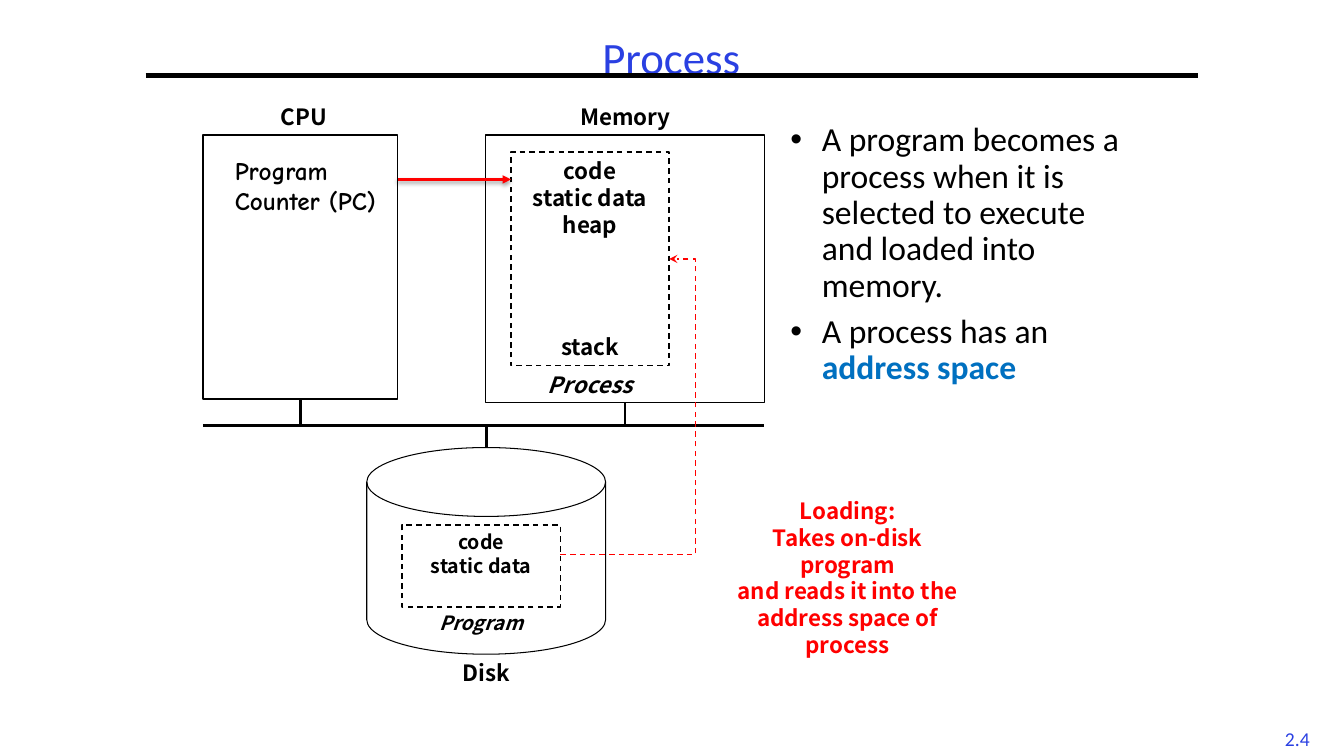
from lxml import etree
from pptx import Presentation
from pptx.dml.color import RGBColor
from pptx.enum.dml import MSO_LINE_DASH_STYLE as DASH
from pptx.enum.shapes import MSO_CONNECTOR_TYPE as CONN, MSO_SHAPE as SHAPE
from pptx.enum.text import MSO_ANCHOR as ANCHOR, MSO_AUTO_SIZE as AUTO, PP_ALIGN as ALIGN
from pptx.oxml.ns import qn
from pptx.util import Pt

BLACK, WHITE, RED, BLUE, ACCENT = "000000", "FFFFFF", "FF0000", "2A40E2", "0070C0"
SANS, LABEL, COMIC = "Calibri", "Noto Sans CJK KR", "Comic Neue"

TITLE = "Process"
PAGE = "2.4"
BULLETS = [
    [("A program becomes a process when it is selected to execute and loaded into memory.", {})],
    [("A process has an ", {}), ("address space", {"color": ACCENT, "bold": True})],
]

CPU = (145, 96.5, 139, 188.5)
MEMORY = (347, 96.5, 199, 191)
PROCESS = (365, 108.7, 113, 152.6)
DISK = (262, 319.7, 170.6, 147.6)
PROGRAM = (287.3, 375, 113, 58.5)
BUS_Y = 304
LOAD_Y, LOAD_X = 396, 496.8
COUNTER_Y = 128.2

LABELS = [
    (["code", "static data", "heap"], (365, 108.7, 113, 68), {}),
    (["stack"], (365, 234.7, 113, 26.6), {}),
    (["Process"], (365, 261.3, 113, 26.6), {"italic": True}),
    (["Memory"], (390.2, 69.8, 113, 26.6), {}),
    (["CPU"], (160.6, 69.8, 113, 26.6), {}),
    (["code", "static data"], (287.3, 375, 113, 41), {"size": 14}),
    (["Program"], (287.3, 432.9, 113, 24.5), {"size": 14, "italic": True}),
    (["Disk"], (290.9, 467.3, 113, 26.6), {}),
    (["Loading:", "Takes on-disk program", "and reads it into the address space of process"],
     (511.9, 351.4, 187.2, 124), {"color": RED}),
]


def rgb(value):
    return RGBColor.from_string(value)


def pts(*values):
    return [Pt(v) for v in values]


def add_run(p, text, size=16, font=LABEL, color=BLACK, bold=False, italic=False):
    r = p.add_run()
    r.text = text
    r.font.size, r.font.name = Pt(size), font
    r.font.bold, r.font.italic = bold, italic
    r.font.color.rgb = rgb(color)


def add_text(s, lines, box, align=ALIGN.CENTER, spacing=None, wrap=True, **fmt):
    tf = s.shapes.add_textbox(*pts(*box)).text_frame
    tf.word_wrap = wrap
    for i, line in enumerate(lines):
        p = tf.paragraphs[0] if i == 0 else tf.add_paragraph()
        p.alignment = align
        if spacing:
            p.line_spacing = Pt(spacing)
        add_run(p, line, **fmt)


def add_box(s, box, kind=SHAPE.RECTANGLE, width=1, dash=None):
    sp = s.shapes.add_shape(kind, *pts(*box))
    sp.shadow.inherit = False
    sp.fill.solid()
    sp.fill.fore_color.rgb = rgb(WHITE)
    sp.line.color.rgb = rgb(BLACK)
    sp.line.width = Pt(width)
    sp.line.dash_style = dash
    return sp


def add_line(s, start, end, width=2, color=BLACK, kind=CONN.STRAIGHT, dash=None, head=None):
    c = s.shapes.add_connector(kind, *pts(*start, *end))
    c.line.color.rgb = rgb(color)
    c.line.width = Pt(width)
    c.line.dash_style = dash
    if head:
        etree.SubElement(c.line._get_or_add_ln(), qn("a:tailEnd"), type=head)
    effects = etree.SubElement(c._element.spPr, qn("a:effectLst"))
    return c, effects


def add_bullets(s):
    body = s.placeholders[1]
    body.left, body.top, body.width, body.height = pts(557.3, 84.2, 257, 404.6)
    tf = body.text_frame
    tf.word_wrap, tf.auto_size, tf.vertical_anchor = True, AUTO.NONE, ANCHOR.TOP
    for i, runs in enumerate(BULLETS):
        p = tf.paragraphs[0] if i == 0 else tf.add_paragraph()
        p.line_spacing = 0.9
        p.space_before = Pt(7.2 if i else 0)
        pPr = p._p.get_or_add_pPr()
        pPr.set("marL", str(Pt(22.5)))
        pPr.set("indent", str(-Pt(22.5)))
        etree.SubElement(pPr, qn("a:buFont"), typeface="Arial")
        etree.SubElement(pPr, qn("a:buChar"), char="•")
        for text, fmt in runs:
            add_run(p, text, size=24, font=SANS, **fmt)


def add_title(s):
    title = s.shapes.title
    title.left, title.top, title.width, title.height = pts(33.1, 21.6, 892.8, 41.8)
    tf = title.text_frame
    tf.word_wrap, tf.auto_size, tf.vertical_anchor = True, AUTO.NONE, ANCHOR.MIDDLE
    p = tf.paragraphs[0]
    p.alignment, p.line_spacing = ALIGN.CENTER, 0.9
    add_run(p, TITLE, size=32, font=SANS, color=BLUE)


def add_diagram(s):
    cpu = add_box(s, CPU)
    memory = add_box(s, MEMORY)
    process = add_box(s, PROCESS, dash=DASH.DASH)
    add_box(s, DISK, SHAPE.FLOWCHART_MAGNETIC_DISK, 0.75)
    add_box(s, PROGRAM, dash=DASH.DASH)

    add_line(s, (CPU[0], BUS_Y), (MEMORY[0] + MEMORY[2], BUS_Y))
    for unit, (x, y, w, h) in ((cpu, CPU), (memory, MEMORY)):
        stub, _ = add_line(s, (x + w / 2, y + h), (x + w / 2, BUS_Y))
        stub.begin_connect(unit, 2)
    disk_x = DISK[0] + DISK[2] / 2
    add_line(s, (disk_x, BUS_Y), (disk_x, DISK[1]))

    start_x = PROGRAM[0] + PROGRAM[2]
    end_x = PROCESS[0] + PROCESS[2]
    load, _ = add_line(s, (start_x, LOAD_Y), (end_x, PROCESS[1] + PROCESS[3] / 2), 1, RED,
                       CONN.ELBOW, DASH.DASH, "stealth")
    load.end_connect(process, 3)
    bend = round((LOAD_X - start_x) / (end_x - start_x) * 100000)
    guides = load._element.spPr.find(qn("a:prstGeom")).find(qn("a:avLst"))
    etree.SubElement(guides, qn("a:gd"), name="adj1", fmla=f"val {bend}")

    for lines, box, fmt in LABELS:
        add_text(s, lines, box, spacing=1.2 * fmt.get("size", 16), bold=True, **fmt)
    add_text(s, ["Program Counter (PC)"], (160.6, 107.3, 123.8, 51), align=ALIGN.LEFT,
             size=18, font=COMIC, bold=True)

    _, effects = add_line(s, (CPU[0] + CPU[2], COUNTER_Y), (PROCESS[0], COUNTER_Y),
                          color=RED, head="triangle")
    shadow = etree.SubElement(effects, qn("a:outerShdw"), blurRad=str(Pt(3.1)),
                              dist=str(Pt(1.6)), dir="5400000", rotWithShape="0")
    tint = etree.SubElement(shadow, qn("a:srgbClr"), val=BLACK)
    etree.SubElement(tint, qn("a:alpha"), val="38000")


def main():
    prs = Presentation()
    prs.slide_width, prs.slide_height = pts(960, 540)
    s = prs.slides.add_slide(prs.slide_layouts[1])
    add_title(s)
    add_bullets(s)
    add_line(s, (104, 54), (856, 54), 3)
    add_text(s, [PAGE], (905.8, 515.5, 41.8, 23.8), wrap=False, size=14, font=SANS, color=BLUE)
    add_diagram(s)
    prs.save("out.pptx")


if __name__ == "__main__":
    main()
